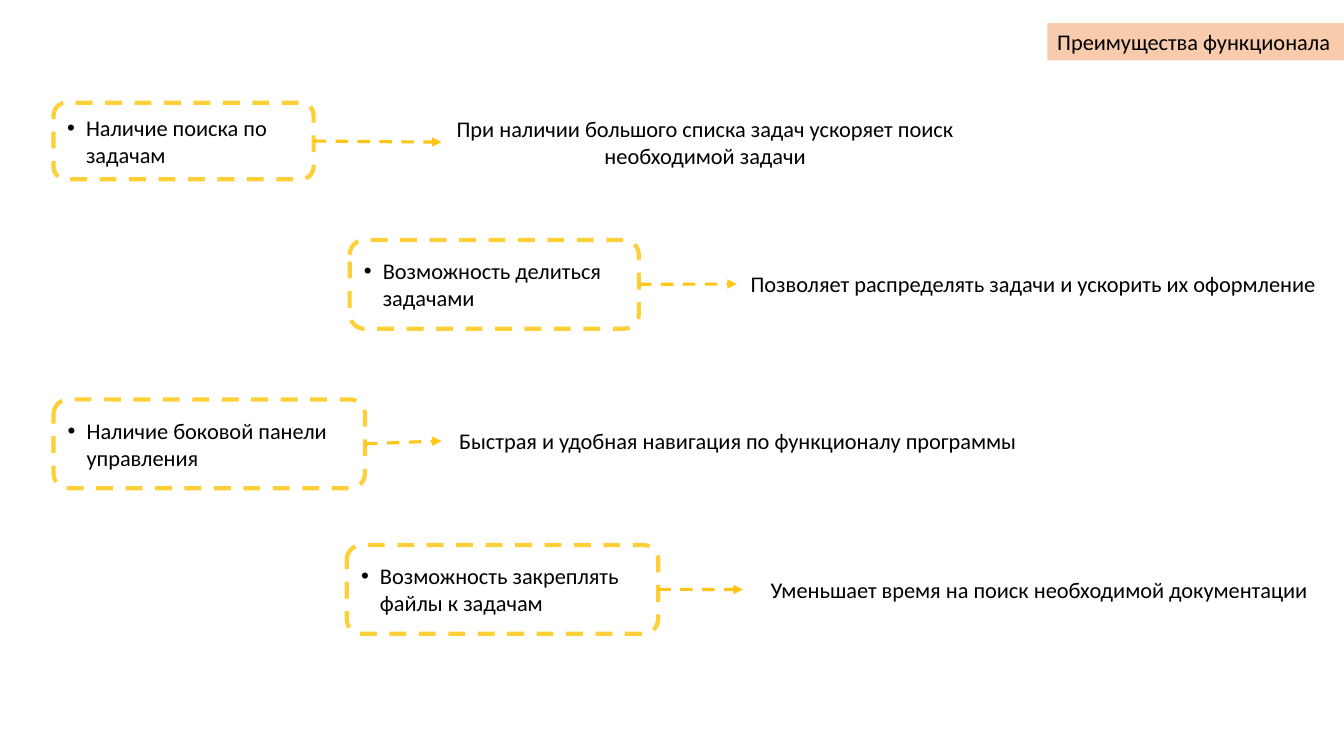
from dataclasses import dataclass

from lxml.etree import SubElement
from pptx import Presentation
from pptx.dml.color import RGBColor
from pptx.enum.dml import MSO_LINE
from pptx.enum.shapes import MSO_CONNECTOR, MSO_SHAPE
from pptx.enum.text import MSO_ANCHOR, MSO_AUTO_SIZE, PP_ALIGN
from pptx.oxml.ns import qn
from pptx.util import Pt


@dataclass(frozen=True)
class Theme:
    font: str = "Calibri"
    size: float = 16
    text: str = "000000"
    paper: str = "FFFFFF"
    border: str = "FFCF37"
    arrow: str = "FFC618"
    tag: str = "F8CBAD"
    border_width: float = 3
    arrow_width: float = 2.25
    indent: float = 13.5


class Deck:
    RIGHT, LEFT = 3, 1  # connection sites of a rectangle

    def __init__(self, theme, width, height):
        self.theme = theme
        self.prs = Presentation()
        self.prs.slide_width, self.prs.slide_height = Pt(width), Pt(height)
        self.s = self.prs.slides.add_slide(self.prs.slide_layouts[6])

    def label(self, sp, text, align=PP_ALIGN.LEFT, anchor=MSO_ANCHOR.TOP):
        tf = sp.text_frame
        tf.text = text
        tf.word_wrap = True
        tf.vertical_anchor = anchor
        p = tf.paragraphs[0]
        p.alignment = align
        for r in p.runs:
            r.font.name, r.font.size = self.theme.font, Pt(self.theme.size)
            r.font.color.rgb = RGBColor.from_string(self.theme.text)
        return p

    def shape(self, preset, rect, fill):
        sp = self.s.shapes.add_shape(preset, *map(Pt, rect))
        sp.shadow.inherit = False
        sp.fill.solid()
        sp.fill.fore_color.rgb = RGBColor.from_string(fill)
        return sp

    def dash(self, line, color, width):
        line.color.rgb = RGBColor.from_string(color)
        line.width = Pt(width)
        line.dash_style = MSO_LINE.DASH

    def tag(self, rect, text):
        sp = self.shape(MSO_SHAPE.RECTANGLE, rect, self.theme.tag)
        sp.line.fill.background()
        self.label(sp, text)
        sp.text_frame.auto_size = MSO_AUTO_SIZE.SHAPE_TO_FIT_TEXT

    def feature(self, rect, text):
        sp = self.shape(MSO_SHAPE.ROUNDED_RECTANGLE, rect, self.theme.paper)
        self.dash(sp.line, self.theme.border, self.theme.border_width)
        p = self.label(sp, text, anchor=MSO_ANCHOR.MIDDLE)
        # Hanging bullet
        pPr = p._p.get_or_add_pPr()
        indent = Pt(self.theme.indent)
        pPr.set("marL", str(indent))
        pPr.set("indent", str(-indent))
        SubElement(pPr, qn("a:buFont"), typeface="Arial")
        SubElement(pPr, qn("a:buChar"), char="•")
        return sp

    def benefit(self, rect, text):
        sp = self.s.shapes.add_textbox(*map(Pt, rect))
        self.label(sp, text, PP_ALIGN.CENTER)
        sp.text_frame.auto_size = MSO_AUTO_SIZE.SHAPE_TO_FIT_TEXT
        return sp

    def arrow(self, start, end):
        cn = self.s.shapes.add_connector(MSO_CONNECTOR.STRAIGHT, 0, 0, 0, 0)
        cn.begin_connect(start, self.RIGHT)
        cn.end_connect(end, self.LEFT)
        self.dash(cn.line, self.theme.arrow, self.theme.arrow_width)
        spPr = cn._element.spPr
        SubElement(spPr.find(qn("a:ln")), qn("a:tailEnd"), type="triangle")
        SubElement(spPr, qn("a:effectLst"))


# Feature box, its text, benefit box, its text
ROWS = [
    ((38.2, 73.4, 185.8, 54.7), "Наличие поиска по задачам",
     (315.4, 78.5, 376.6, 46.1),
     "При наличии большого списка задач ускоряет поиск необходимой задачи"),
    ((249.8, 171.4, 206.6, 63.4), "Возможность делиться задачами",
     (526.3, 189.6, 423.4, 26.6),
     "Позволяет распределять задачи и ускорить их оформление"),
    ((38.2, 285.3, 222.5, 63.4), "Наличие боковой панели управления",
     (315.4, 301.7, 423.4, 26.6),
     "Быстрая и удобная навигация по функционалу программы"),
    ((247.7, 389.3, 222.5, 63.4), "Возможность закреплять файлы к задачам",
     (530.6, 407.8, 423.4, 26.6),
     "Уменьшает время на поиск необходимой документации"),
]


def main():
    deck = Deck(Theme(), 960, 540)

    # Features and the benefits they lead to
    for box, feature, area, benefit in ROWS:
        deck.arrow(deck.feature(box, feature), deck.benefit(area, benefit))

    # Slide heading
    deck.tag((748.1, 16.6, 212.2, 26.6), "Преимущества функционала")

    deck.prs.save("out.pptx")


if __name__ == "__main__":
    main()
